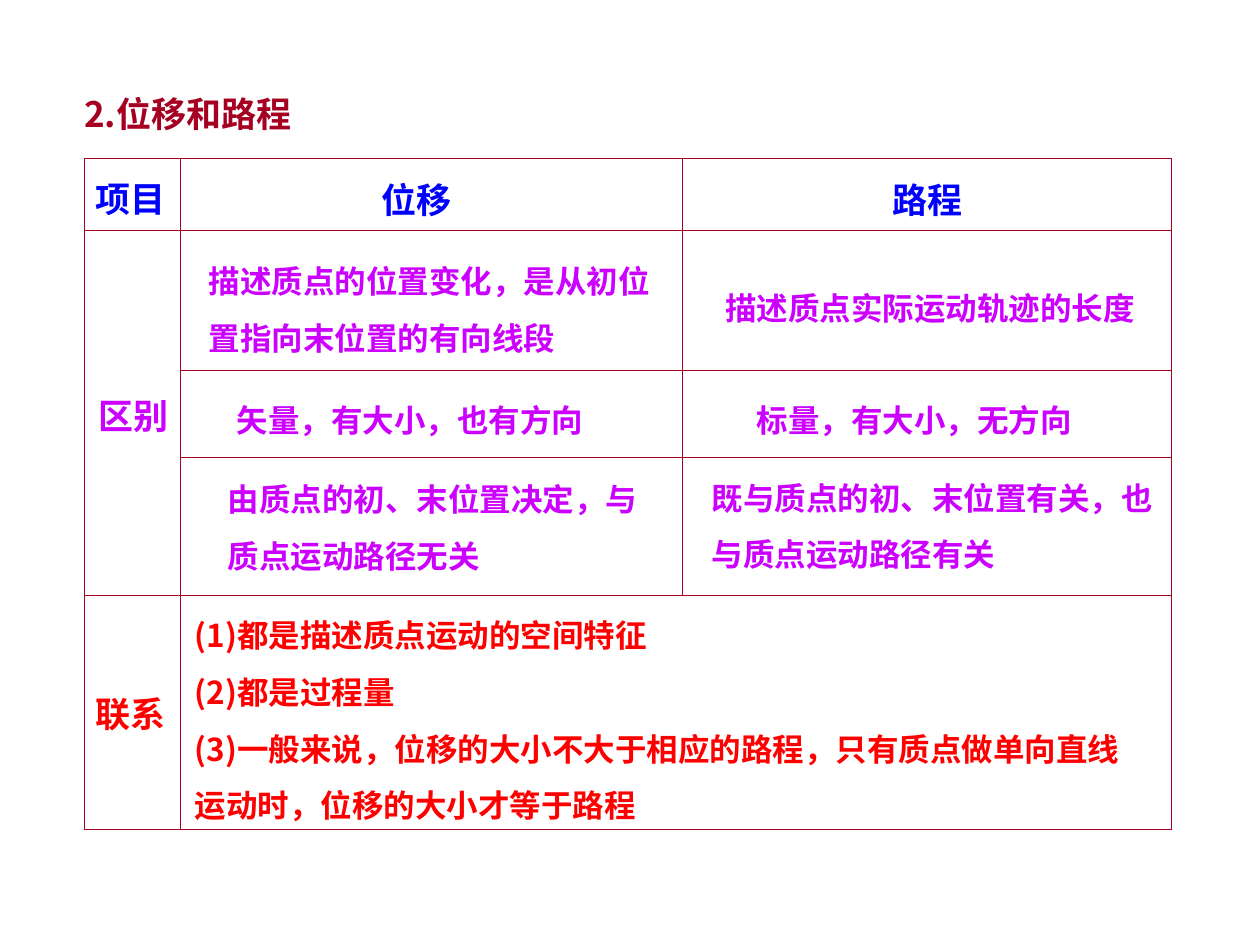
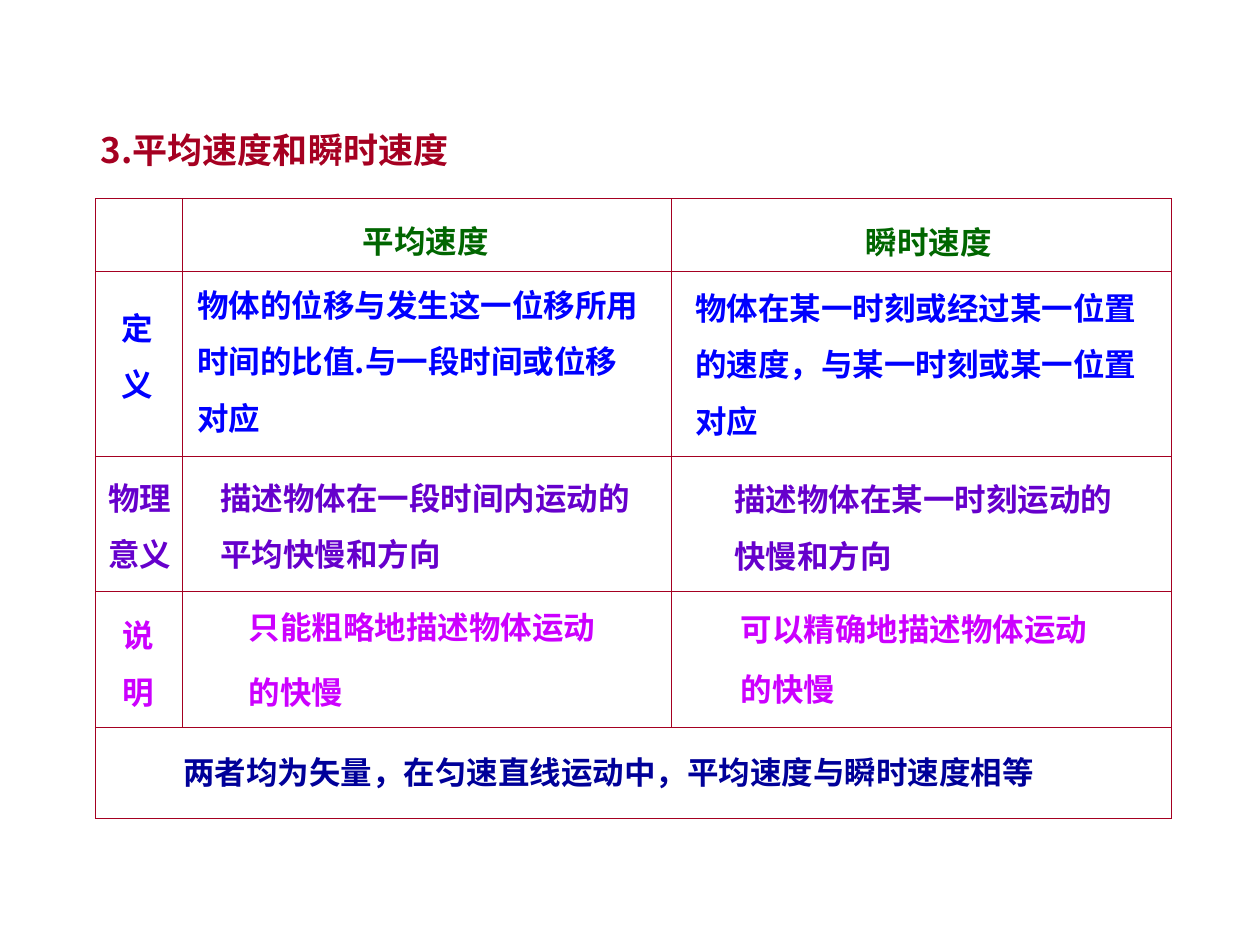
from dataclasses import dataclass

from lxml import etree
from pptx import Presentation
from pptx.dml.color import RGBColor
from pptx.enum.text import MSO_ANCHOR, MSO_AUTO_SIZE
from pptx.oxml.ns import qn
from pptx.util import Cm, Pt

TOP, MIDDLE = MSO_ANCHOR.TOP, MSO_ANCHOR.MIDDLE
GROW = MSO_AUTO_SIZE.SHAPE_TO_FIT_TEXT


@dataclass(frozen=True)
class Theme:
    font: str = "Noto Sans CJK SC"
    heading: int = 20
    body: int = 18
    crimson: str = "A50021"
    blue: str = "0000FF"
    magenta: str = "CC00FF"
    red: str = "FF0000"
    green: str = "006600"
    violet: str = "6600CC"
    navy: str = "000099"
    thin: float = 0.45
    thick: float = 0.75
    inset_x: float = 0.25
    inset_y: float = 0.13


THEME = Theme()


@dataclass(frozen=True)
class Note:
    """Text placed in cm from the top left corner of the table."""
    left: float
    top: float
    width: float
    text: str
    color: str
    size: int = THEME.body
    spacing: float = 1.5
    anchor: MSO_ANCHOR = MIDDLE


@dataclass(frozen=True)
class Grid:
    """Table in cm; merges are (first row, first column, last row, last column)."""
    left: float
    top: float
    columns: tuple
    rows: tuple
    merges: tuple
    outline: float


def apply(target, values):
    for name, value in values.items():
        setattr(target, name, value)


def style_span(span, note):
    apply(span.font, {"name": THEME.font, "size": Pt(note.size), "bold": True})
    span.font.color.rgb = RGBColor.from_string(note.color)
    east_asian = etree.SubElement(span.font._element, qn("a:ea"))
    east_asian.set("typeface", THEME.font)


def add_note(page, grid, note):
    lines = note.text.split("\n")
    # Box height follows from the line count and the line spacing
    height = Pt(len(lines) * note.size * 1.2 * note.spacing) + 2 * Cm(THEME.inset_y)
    box = page.shapes.add_textbox(Cm(grid.left + note.left), Cm(grid.top + note.top),
                                  Cm(note.width), height)
    frame = box.text_frame
    apply(frame, {
        "word_wrap": True, "auto_size": GROW, "vertical_anchor": note.anchor,
        "margin_left": Cm(THEME.inset_x), "margin_right": Cm(THEME.inset_x),
        "margin_top": Cm(THEME.inset_y), "margin_bottom": Cm(THEME.inset_y),
    })
    for index, line in enumerate(lines):
        para = frame.add_paragraph() if index else frame.paragraphs[0]
        para.line_spacing = note.spacing
        span = para.add_run()
        span.text = line
        style_span(span, note)


def add_border(cell, side, width):
    line = etree.SubElement(cell._tc.get_or_add_tcPr(), qn(f"a:ln{side}"), w=str(Pt(width)))
    fill = etree.SubElement(line, qn("a:solidFill"))
    etree.SubElement(fill, qn("a:srgbClr"), val=THEME.crimson)


def add_grid(page, grid):
    last_row, last_column = len(grid.rows) - 1, len(grid.columns) - 1
    table = page.shapes.add_table(
        len(grid.rows), len(grid.columns), Cm(grid.left), Cm(grid.top),
        Cm(sum(grid.columns)), Cm(sum(grid.rows))).table
    apply(table, {"first_row": False, "horz_banding": False})
    for column, width in zip(table.columns, grid.columns):
        column.width = Cm(width)
    for row, height in zip(table.rows, grid.rows):
        row.height = Cm(height)
    # Ruled cells without fill, with a possibly heavier outline
    for r in range(last_row + 1):
        for c in range(last_column + 1):
            cell = table.cell(r, c)
            on_outline = {"L": c == 0, "R": c == last_column,
                          "T": r == 0, "B": r == last_row}
            for side, outer in on_outline.items():
                add_border(cell, side, grid.outline if outer else THEME.thin)
            cell.fill.background()
    for top, left, bottom, right in grid.merges:
        table.cell(top, left).merge(table.cell(bottom, right))


def add_comparison(deck, title, grid, notes):
    page = deck.slides.add_slide(deck.slide_layouts[6])
    add_note(page, grid, title)
    add_grid(page, grid)
    for note in notes:
        add_note(page, grid, note)


def displacement_page(deck):
    title = Note(-0.25, -1.88, 6.4, "2.位移和路程", THEME.crimson, THEME.heading)
    grid = Grid(1.7, 3.2, (1.93, 10.13, 9.86), (1.45, 2.82, 1.75, 2.79, 4.7),
                ((1, 0, 3, 0), (4, 1, 4, 2)), THEME.thin)
    # Column heads and row heads
    heads = [Note(left, top, 2.51, text, color, THEME.heading)
             for left, top, text, color in (
                 (-0.03, -0.18, "项目", THEME.blue),
                 (5.74, -0.15, "位移", THEME.blue),
                 (16.05, -0.15, "路程", THEME.blue),
                 (0.03, 4.19, "区别", THEME.magenta),
                 (-0.03, 10.21, "联系", THEME.red))]
    # Differences
    differences = [Note(*place, text, THEME.magenta) for place, text in (
        ((2.26, 1.57, 11.2), "描述质点的位置变化，是从初位\n置指向末位置的有向线段"),
        ((12.67, 2.11, 9.22), "描述质点实际运动轨迹的长度"),
        ((2.82, 4.37, 10.21), "矢量，有大小，也有方向"),
        ((13.31, 4.37, 9.12), "标量，有大小，无方向"),
        ((2.64, 5.97, 11.05), "由质点的初、末位置决定，与\n质点运动路径无关"),
        ((12.4, 5.94, 10.59), "既与质点的初、末位置有关，也\n与质点运动路径有关"))]
    # Links
    links = Note(1.98, 8.71, 20.93,
                 "(1)都是描述质点运动的空间特征\n"
                 "(2)都是过程量\n"
                 "(3)一般来说，位移的大小不大于相应的路程，只有质点做单向直线\n"
                 "运动时，位移的大小才等于路程", THEME.red)
    add_comparison(deck, title, grid, [*heads, *differences, links])


def velocity_page(deck):
    title = Note(-0.15, -1.98, 9.32, "3.平均速度和瞬时速度", THEME.crimson, THEME.heading)
    grid = Grid(1.93, 4.01, (1.75, 9.86, 10.08), (1.45, 3.73, 2.74, 2.74, 1.83),
                ((4, 0, 4, 2),), THEME.thick)
    notes = [
        # Column heads
        Note(5.13, -0.05, 3.99, "平均速度", THEME.green),
        Note(15.27, -0.03, 3.99, "瞬时速度", THEME.green),
        # Definition
        Note(0.28, 1.7, 2.21, "定\n义", THEME.blue),
        Note(1.8, 1.24, 10.77,
             "物体的位移与发生这一位移所用\n时间的比值.与一段时间或位移\n对应", THEME.blue),
        Note(11.84, 1.3, 10.72,
             "物体在某一时刻或经过某一位置\n的速度，与某一时刻或某一位置\n对应", THEME.blue),
        # Physical meaning
        Note(0, 5.13, 2.34, "物理\n意义", THEME.violet),
        Note(2.26, 5.13, 11.15, "描述物体在一段时间内运动的\n平均快慢和方向", THEME.violet),
        Note(12.62, 5.16, 9.63, "描述物体在某一时刻运动的\n快慢和方向", THEME.violet),
        # Remarks
        Note(0.3, 7.9, 1.93, "说\n明", THEME.magenta),
        Note(2.84, 7.59, 9.25, "只能粗略地描述物体运动\n的快慢", THEME.magenta, spacing=1.7),
        Note(12.75, 7.7, 9.78, "可以精确地描述物体运动\n的快慢", THEME.magenta,
             spacing=1.6, anchor=TOP),
        # Conclusion
        Note(1.52, 11.05, 19.66, "两者均为矢量，在匀速直线运动中，平均速度与瞬时速度相等",
             THEME.navy, spacing=1.0, anchor=TOP),
    ]
    add_comparison(deck, title, grid, notes)


def main():
    deck = Presentation()
    apply(deck, {"slide_width": Cm(25.4), "slide_height": Cm(19.05)})
    displacement_page(deck)
    velocity_page(deck)
    deck.save("out.pptx")


if __name__ == "__main__":
    main()
